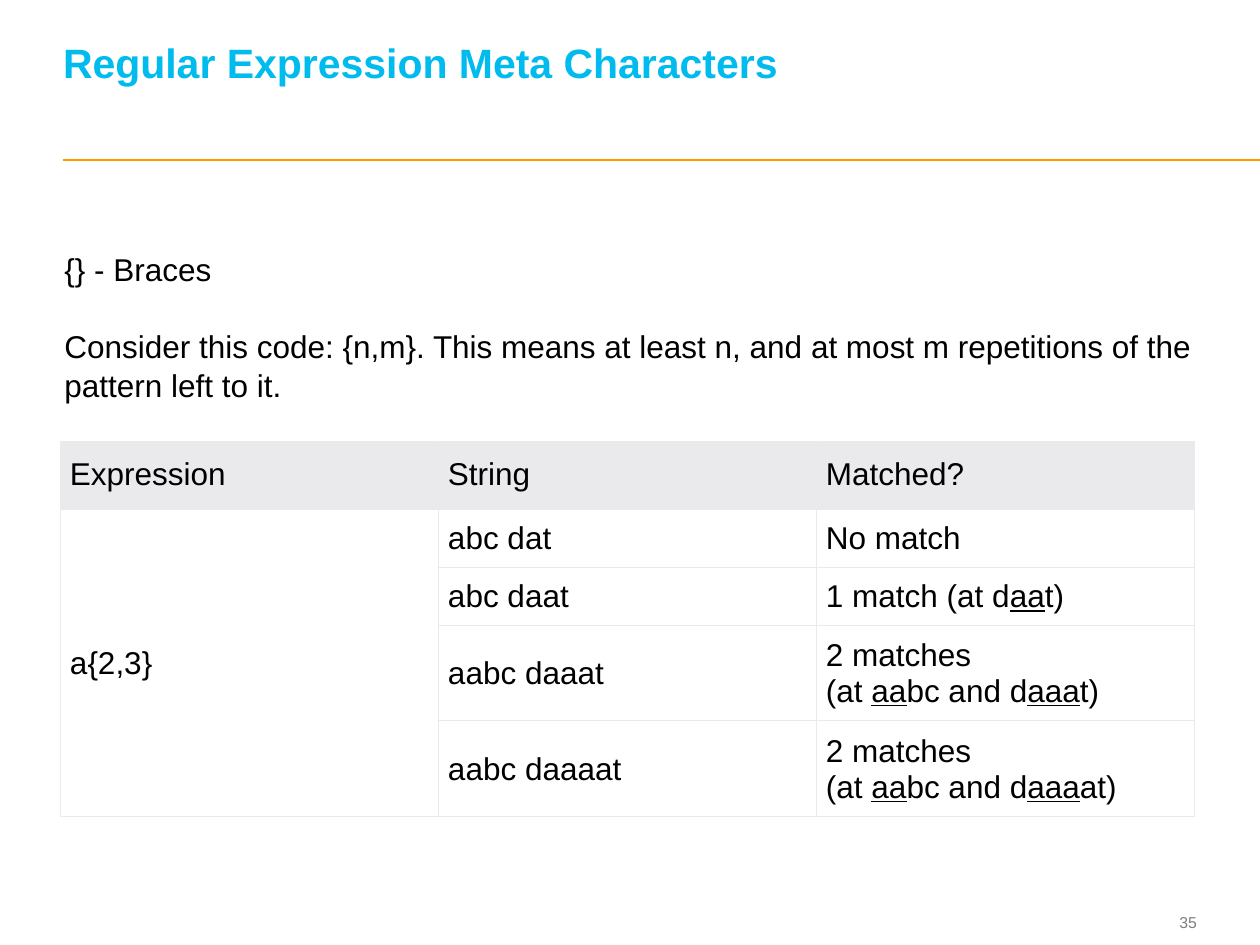
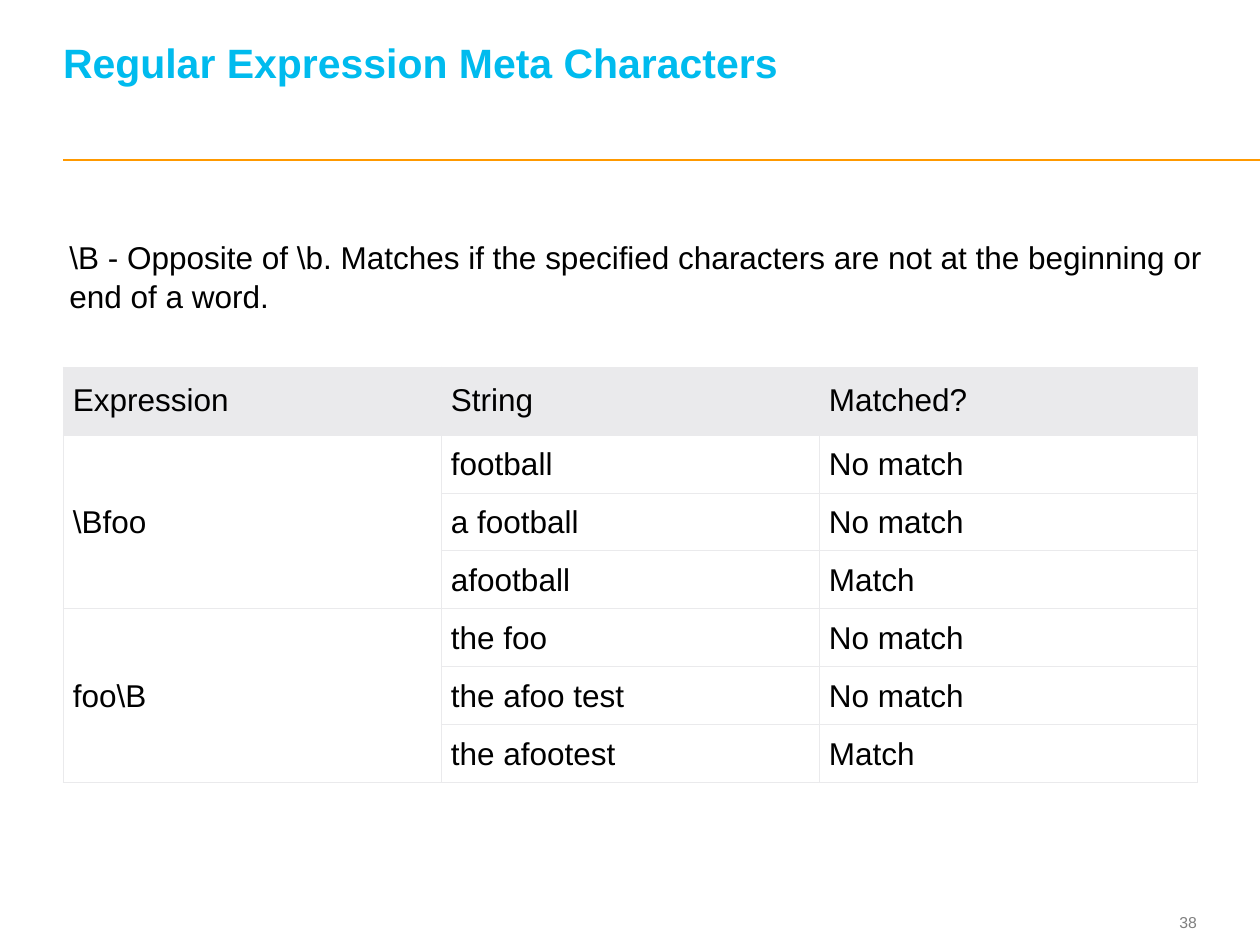
from itertools import groupby

from lxml import etree
from pptx import Presentation
from pptx import util as u
from pptx.dml.color import RGBColor
from pptx.enum import shapes, text
from pptx.oxml import ns

PX = u.Inches(1) / 126
FONT = "Arial"
COLORS = {"title": "00BBEE", "rule": "FF9900", "ink": "000000",
          "number": "7F7F7F", "grid": "EAEAEC", "cell": "FFFFFF"}
TITLE = "Regular Expression Meta Characters"
HEADER = ("Expression", "String", "Matched?")
NBSP = chr(160)


def px(n):
    """Turn whole pixels into EMU."""
    return u.Emu(round(n * PX))


def rgb(name):
    """Look up a named colour."""
    return RGBColor.from_string(COLORS[name])


class Deck:
    """Hold the style and the current slide, and draw each kind of element."""

    def __init__(self):
        """Start a 10 by 7.5 inch presentation."""
        self.prs = Presentation()
        self.prs.slide_width, self.prs.slide_height = px(1260), px(945)
        self.s = None

    def slide(self, number):
        """Add a slide with the shared title, rule and number."""
        self.s = self.prs.slides.add_slide(self.prs.slide_layouts[6])
        self.rule(63, 160, 1260)
        p = self.text(63, 41, 1130, 46, [TITLE], 23.4, "title", inset=0)[0]
        p.line_spacing = u.Pt(26)
        p.runs[0].font.bold = True
        p = self.text(1123, 905, 74, 34, [str(number)], 9, "number",
                      inset=0, anchor=text.MSO_ANCHOR.MIDDLE)[0]
        p.alignment = text.PP_ALIGN.RIGHT

    def rule(self, x, y, right):
        """Draw the horizontal rule below the title."""
        c = self.s.shapes.add_connector(
            shapes.MSO_CONNECTOR.STRAIGHT, px(x), px(y), px(right), px(y))
        c.line.color.rgb = rgb("rule")
        c.line.width = u.Pt(1)
        etree.SubElement(c._element.spPr, ns.qn("a:effectLst"))

    def run(self, p, words, size, color, underline=False):
        """Add one styled run to a paragraph."""
        r = p.add_run()
        r.text = words
        r.font.name, r.font.size = FONT, u.Pt(size)
        r.font.color.rgb = rgb(color)
        if underline:
            r.font.underline = True

    def text(self, x, y, w, h, lines, size, color, inset=None,
             anchor=text.MSO_ANCHOR.TOP):
        """Add a wrapped text box and return its paragraphs."""
        tf = self.s.shapes.add_textbox(px(x), px(y), px(w), px(h)).text_frame
        tf.word_wrap = True
        tf.vertical_anchor = anchor
        if inset is not None:
            tf.margin_left = tf.margin_right = px(inset)
            tf.margin_top = tf.margin_bottom = px(inset)
        for i, line in enumerate(lines):
            p = tf.add_paragraph() if i else tf.paragraphs[0]
            self.run(p, line, size, color)
        return tf.paragraphs

    def body(self, x, y, h, lines):
        """Add the explanation, its paragraphs one line apart."""
        for i, p in enumerate(self.text(x, y, 1167, h, lines, 18, "ink")):
            p.line_spacing = 1.04
            if i:
                p.space_before = u.Pt(21.5)

    def cell(self, cell, words, header):
        """Fill a cell; underscores enclose the underlined part of a match."""
        cell.vertical_anchor = text.MSO_ANCHOR.MIDDLE
        cell.margin_left, cell.margin_right = px(10), px(9)
        cell.margin_top, cell.margin_bottom = (px(15), px(15)) if header else (px(10), px(9))
        cell.fill.solid()
        cell.fill.fore_color.rgb = rgb("grid" if header else "cell")
        for i, side in enumerate("LRTB"):
            ln = etree.Element(ns.qn(f"a:ln{side}"), w=str(u.Pt(0.6)))
            fill = etree.SubElement(ln, ns.qn("a:solidFill"))
            etree.SubElement(fill, ns.qn("a:srgbClr"), val=COLORS["grid"])
            cell._tc.get_or_add_tcPr().insert(i, ln)
        lead, bracket, place = words.partition("(")
        words = lead + bracket + place.replace(" ", NBSP)
        for i, part in enumerate(words.split("_")):
            if part:
                self.run(cell.text_frame.paragraphs[0], part, 18, "ink", i % 2 == 1)

    def table(self, x, y, rows):
        """Add a match table, merging equal expressions downwards."""
        heights = [68] + [96 if "matches" in row[2] else 58 for row in rows]
        t = self.s.shapes.add_table(len(heights), 3, px(x), px(y),
                                    px(1134), px(sum(heights))).table
        t.first_row = t.horz_banding = False
        for row, h in zip(t.rows, heights):
            row.height = px(h)
        above = None
        for i, row in enumerate((HEADER, *rows)):
            for j, words in enumerate(row):
                repeated = j == 0 and words == above
                self.cell(t.cell(i, j), "" if repeated else words, i == 0)
            above = row[0]
        top = 1
        for _, group in groupby(rows, key=lambda row: row[0]):
            bottom = top + len(list(group)) - 1
            t.cell(top, 0).merge(t.cell(bottom, 0))
            top = bottom + 1


def main():
    """Build both slides and save them."""
    d = Deck()

    d.slide(35)
    d.body(52, 242, 165, [
        "{} - Braces",
        "Consider this code: {n,m}. This means at least n, and at most m "
        "repetitions of the pattern left to it."])
    d.table(60, 441, [
        ("a{2,3}", "abc dat", "No match"),
        ("a{2,3}", "abc daat", "1 match (at d_aa_t)"),
        ("a{2,3}", "aabc daaat", "2 matches (at _aa_bc and d_aaa_t)"),
        ("a{2,3}", "aabc daaaat", "2 matches (at _aa_bc and d_aaa_at)")])

    d.slide(38)
    d.body(57, 230, 89, [
        r"\B - Opposite of \b. Matches if the specified characters are not "
        "at the beginning or end of a word."])
    d.table(63, 367, [
        (r"\Bfoo", "football", "No match"),
        (r"\Bfoo", "a football", "No match"),
        (r"\Bfoo", "afootball", "Match"),
        (r"foo\B", "the foo", "No match"),
        (r"foo\B", "the afoo test", "No match"),
        (r"foo\B", "the afootest", "Match")])

    d.prs.save("out.pptx")


if __name__ == "__main__":
    main()
